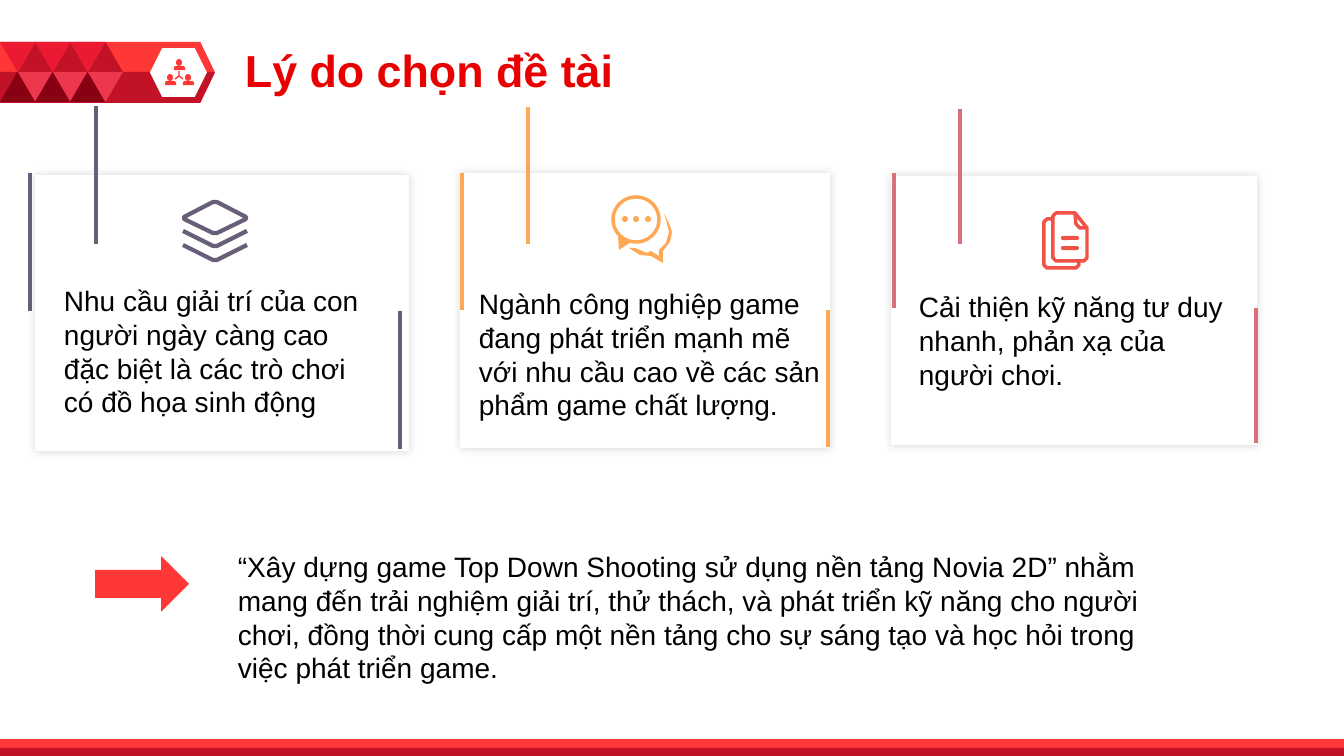
import pptx
import pptx.util
import pptx.dml.color
import pptx.enum.shapes
import pptx.oxml
import pptx.oxml.ns
import lxml.etree

PX = 914400 / 100.8
HUES = {
    "white": "FFFFFF", "black": "000000", "title": "E90000",
    "red": "FF3737", "dark": "C21227", "rose": "EB1932",
    "pink": "ED374D", "wine": "880014", "slate": "695E78",
    "gold": "FFA956", "blush": "D8717B", "coral": "F25245",
    "shade": "3F3F3F",
}
KIND = pptx.enum.shapes.MSO_SHAPE
FONT = "Arial"

deck = pptx.Presentation()
deck.slide_width = round(1344 * PX)
deck.slide_height = round(756 * PX)
slide = deck.slides.add_slide(deck.slide_layouts[6])
shapes = slide.shapes


def paint(shape, fill, edge=None, width=2.5):
    shape.shadow.inherit = False
    if fill:
        shape.fill.solid()
        shape.fill.fore_color.rgb = pptx.dml.color.RGBColor.from_string(HUES[fill])
    else:
        shape.fill.background()
    if edge:
        shape.line.color.rgb = pptx.dml.color.RGBColor.from_string(HUES[edge])
        shape.line.width = pptx.util.Pt(width)
    else:
        shape.line.fill.background()
    return shape


def form(kind, box, fill, edge=None):
    return paint(shapes.add_shape(kind, *[round(n * PX) for n in box]), fill, edge)


form(KIND.PENTAGON, (0, 42, 215, 61), "red").adjustments[0] = 0.24
band = shapes.build_freeform(0, 72, PX)
band.add_line_segments([(215, 72), (200, 103), (0, 103)])
paint(band.convert_to_shape(), "dark")
form(KIND.HEXAGON, (150, 48, 57, 49), "white")

for left in range(0, 105, 35):
    for shift, top, turn, hue in [
        (0, 42, 180, "rose"), (18, 42, 0, "dark"),
        (18, 72, 180, "pink"), (0, 72, 0, "wine"),
    ]:
        form(KIND.ISOSCELES_TRIANGLE, (left + shift, top, 35, 30), hue).rotation = turn

for mid, top in [(179, 59), (170, 74), (188, 74)]:
    form(KIND.OVAL, (mid - 3, top, 6, 7), "red")
    form(KIND.ROUND_2_SAME_RECTANGLE, (mid - 5, top + 7, 11, 4), "red").adjustments[0] = 0.5

form(KIND.RECTANGLE, (0, 739, 1344, 9), "red")
form(KIND.RECTANGLE, (0, 748, 1344, 8), "dark")
form(KIND.RIGHT_ARROW, (95, 556, 94, 56), "red")

for box, hue, start, span, size in [
    ((460, 173, 370, 275), "gold", 462, 366, 137),
    ((35, 175, 374, 276), "slate", 30, 370, 138),
    ((891, 176, 366, 269), "blush", 894, 362, 135),
]:
    card = form(KIND.RECTANGLE, box, "white")
    glow = card._element.spPr.find(pptx.oxml.ns.qn("a:effectLst"))
    cast = lxml.etree.SubElement(glow, pptx.oxml.ns.qn("a:outerShdw"), blurRad="76200", dist="0", algn="ctr", rotWithShape="0")
    tint = lxml.etree.SubElement(cast, pptx.oxml.ns.qn("a:srgbClr"), val=HUES["shade"])
    lxml.etree.SubElement(tint, pptx.oxml.ns.qn("a:alpha"), val="20000")
    for x, y in [(start, 173), (start + 66, 244 - size), (start + span, 173 + size)]:
        ends = [round(n * PX) for n in (x, y, x, y + size)]
        rule = shapes.add_connector(pptx.enum.shapes.MSO_CONNECTOR.STRAIGHT, *ends)
        rule.line.color.rgb = pptx.dml.color.RGBColor.from_string(HUES[hue])
        rule.line.width = pptx.util.Pt(3)
        lxml.etree.SubElement(rule._element.spPr, pptx.oxml.ns.qn("a:effectLst"))

form(KIND.OVAL, (613, 197, 46, 45), None, "gold")
for mid in (625, 636, 648):
    form(KIND.OVAL, (mid - 3, 216, 6, 6), "gold")
for top in (236, 246):
    form(KIND.ROUNDED_RECTANGLE, (1061, top, 18, 4), "coral").adjustments[0] = 0.5

for fill, edge, width, close, dots in [
    (None, "red", 1, False, [(179, 71), (179, 76), (183, 79)]),
    (None, "red", 1, False, [(179, 76), (175, 79)]),
    (None, "slate", 3, True, [(184, 217), (213, 202), (217, 202), (246, 217),
                              (246, 219), (217, 233), (213, 233), (184, 219)]),
    (None, "slate", 3, False, [(183, 231), (213, 246), (217, 246), (247, 231)]),
    (None, "slate", 3, False, [(183, 245), (213, 260), (217, 260), (247, 245)]),
    ("gold", None, 0, True, [(618, 236), (619, 250), (631, 242)]),
    ("gold", None, 0, True, [(664, 214), (669, 223), (672, 232), (670, 242), (663, 251),
                             (663, 263), (651, 256), (640, 255), (629, 248), (635, 248),
                             (647, 253), (651, 251), (659, 256), (659, 250), (666, 243),
                             (669, 232), (667, 223)]),
    (None, "coral", 2.5, True, [(1056, 213), (1075, 213), (1087, 228), (1087, 258),
                                (1084, 261), (1056, 261), (1053, 258), (1053, 216)]),
    (None, "coral", 2.5, False, [(1075, 213), (1076, 224), (1080, 228), (1087, 228)]),
    (None, "coral", 2.5, False, [(1052, 219), (1047, 219), (1044, 222), (1044, 265),
                                 (1047, 268), (1076, 268), (1079, 265), (1079, 262)]),
]:
    pen = shapes.build_freeform(*dots[0], PX)
    pen.add_line_segments(dots[1:], close=close)
    paint(pen.convert_to_shape(), fill, edge, width)

for box, size, hue, bold, words in [
    ((235, 38, 1009, 65), 32, "title", True, "Lý do chọn đề tài"),
    ((228, 545, 940, 146), 20, "black", False,
     "“Xây dựng game Top Down Shooting sử dụng nền tảng Novia 2D” nhằm mang đến trải nghiệm giải trí, "
     "thử thách, và phát triển kỹ năng cho người chơi, đồng thời cung cấp một nền tảng cho sự sáng tạo "
     "và học hỏi trong việc phát triển game."),
    ((54, 279, 331, 146), 20, "black", False,
     "Nhu cầu giải trí của con người ngày càng cao đặc biệt là các trò chơi có đồ họa sinh động"),
    ((469, 282, 368, 146), 20, "black", False,
     "Ngành công nghiệp game đang phát triển mạnh mẽ với nhu cầu cao về các sản phẩm game chất lượng."),
    ((909, 285, 331, 112), 20, "black", False,
     "Cải thiện kỹ năng tư duy nhanh, phản xạ của người chơi."),
]:
    frame = shapes.add_textbox(*[round(n * PX) for n in box]).text_frame
    frame.word_wrap = True
    frame.text = words
    font = frame.paragraphs[0].runs[0].font
    font.name = FONT
    font.size = pptx.util.Pt(size)
    font.bold = bold
    font.color.rgb = pptx.dml.color.RGBColor.from_string(HUES[hue])

deck.save("out.pptx")
